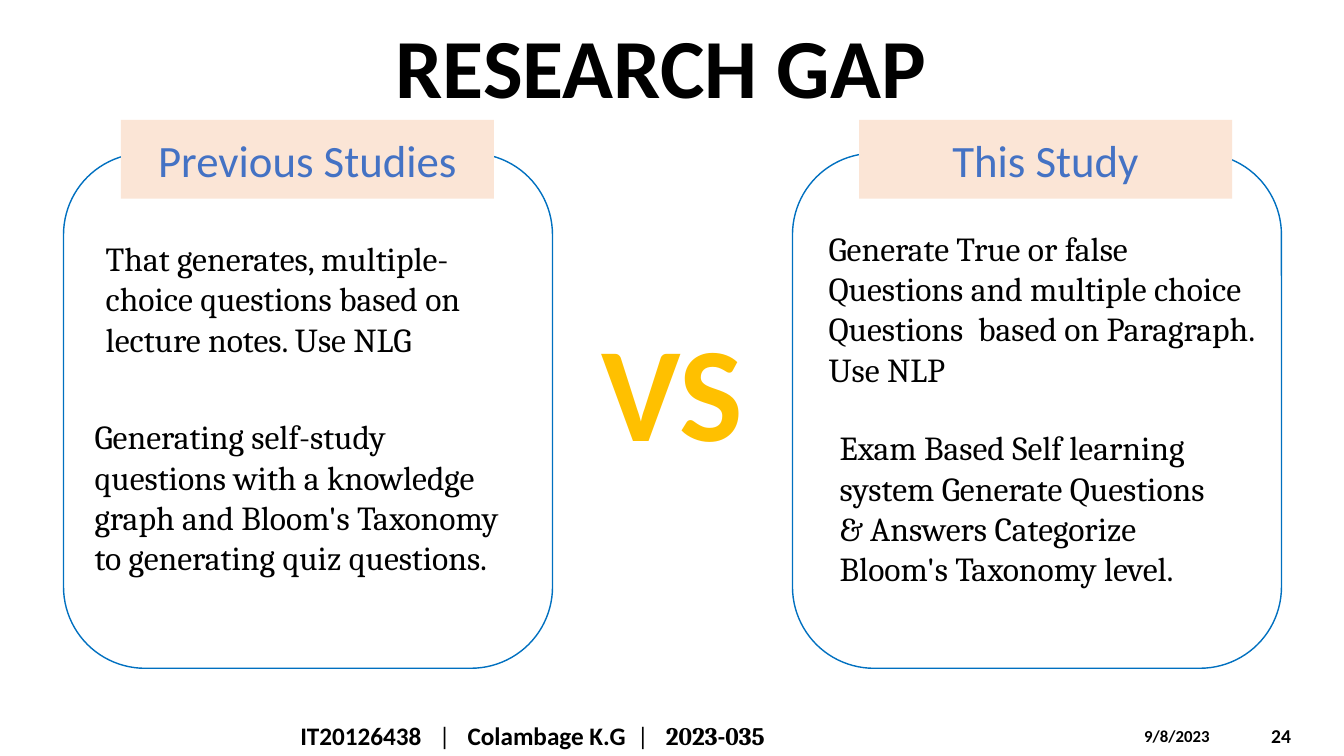
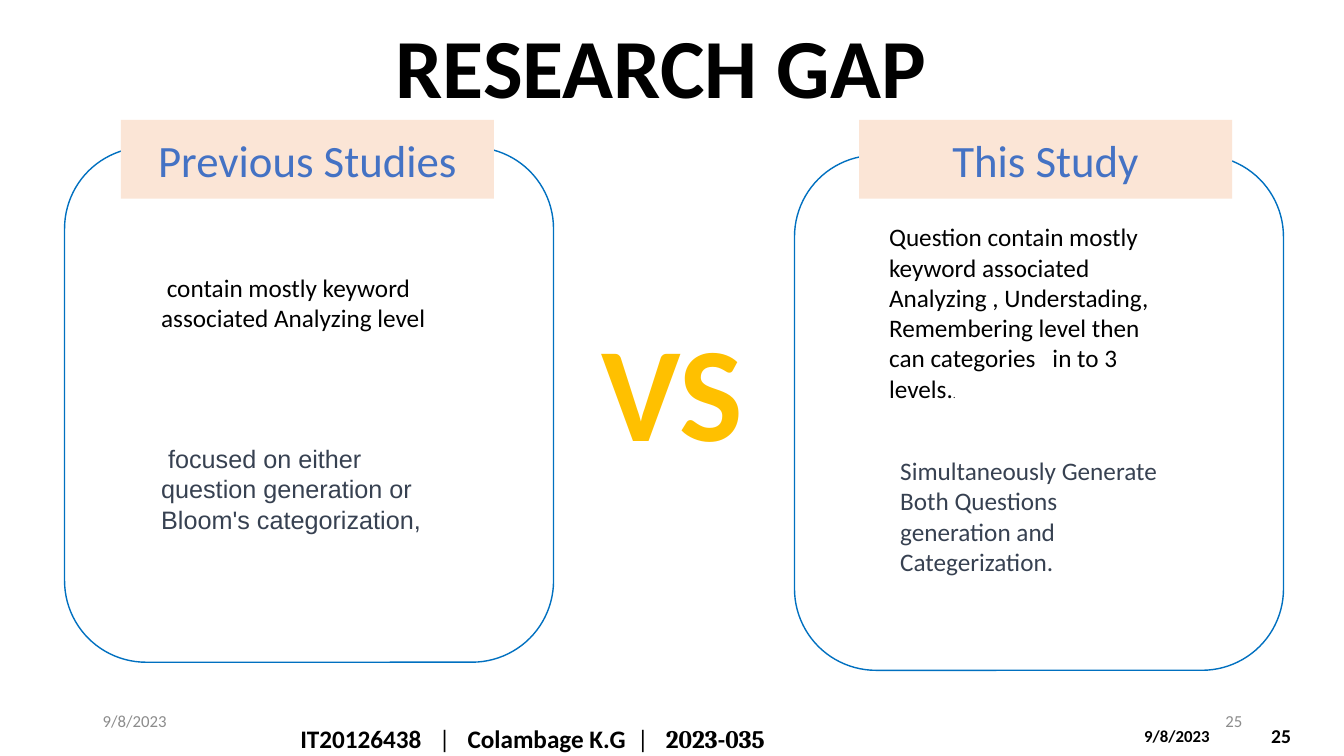
from pptx import Presentation
from pptx.dml.color import RGBColor
from pptx.enum.shapes import MSO_SHAPE
from pptx.enum.text import MSO_ANCHOR, PP_ALIGN
from pptx.util import Inches, Pt

RECT, ROUNDED = MSO_SHAPE.RECTANGLE, MSO_SHAPE.ROUNDED_RECTANGLE
TOP, MIDDLE = MSO_ANCHOR.TOP, MSO_ANCHOR.MIDDLE
LEFT, CENTER, RIGHT = PP_ALIGN.LEFT, PP_ALIGN.CENTER, PP_ALIGN.RIGHT

BLACK = RGBColor(0x00, 0x00, 0x00)
GRAY = RGBColor(0x8C, 0x8C, 0x8C)
SLATE = RGBColor(0x37, 0x41, 0x51)
OUTLINE_BLUE = RGBColor(0x00, 0x70, 0xC0)
HEADING_BLUE = RGBColor(0x44, 0x72, 0xC4)
PEACH = RGBColor(0xFB, 0xE5, 0xD6)
GOLD = RGBColor(0xFF, 0xC0, 0x00)

DATE = "9/8/2023"
# Footer runs: text and the format that differs from the default
AUTHOR = [("IT20126438  ", {"bold": True}), (" |   ", {}),
          ("Colambage K.G  ", {"bold": True}), ("|   ", {}),
          ("2023-035", {"bold": True, "font": "Cambria"})]
HEADINGS = [(1.2, "Previous Studies"), (8.52, "This Study")]

# Panels: left, top. Statements: left, top, width, height, runs, format
SLIDES = [
    {"number": "24", "author_top": 7.1, "small_footer": False,
     "panels": [(0.63, 1.52), (7.86, 1.52)],
     "format": {"size": 24, "font": "Cambria"},
     "statements": [
         (0.95, 2.31, 3.85, 1.31,
          [("That generates, multiple-choice questions based on lecture notes. Use NLG", {})], {}),
         (0.84, 4.08, 4.43, 1.72,
          [("Generating self-study questions with a knowledge graph and Bloom's Taxonomy "
            "to generating quiz questions.", {})], {}),
         (8.12, 2.21, 4.43, 1.72,
          [("Generate True or false Questions and multiple choice Questions  based on "
            "Paragraph. Use NLP", {})], {}),
         (8.23, 4.19, 4.08, 1.72,
          [("Exam Based Self learning system Generate Questions & Answers Categorize "
            "Bloom's Taxonomy level.", {})], {}),
     ]},
    {"number": "25", "author_top": 7.13, "small_footer": True,
     "panels": [(0.64, 1.46), (7.88, 1.54)],
     "format": {"size": 18},
     "statements": [
         (1.5, 2.65, 3, 0.71,
          [(" contain mostly keyword associated Analyzing level", {})], {}),
         (8.72, 2.15, 3, 1.92,
          [("Question contain mostly keyword associated Analyzing , Understading, "
            "Remembering level then can categories   in to 3 levels.", {}),
           (".", {"size": 7})], {}),
         (1.5, 4.35, 3.13, 1.01,
          [(" focused on either question generation or Bloom's categorization,", {})],
          {"font": "Arial", "color": SLATE}),
         (8.83, 4.47, 2.89, 1.31,
          [("Simultaneously Generate  Both Questions generation and Categerization.", {})],
          {"color": SLATE}),
     ]},
]


def write(shape, runs, align=LEFT, anchor=TOP, spacing=None, **base):
    """Fill a shape with one paragraph; runs is a string or (text, format) pairs."""
    frame = shape.text_frame
    frame.word_wrap = True
    frame.vertical_anchor = anchor
    paragraph = frame.paragraphs[0]
    paragraph.alignment = align
    paragraph.line_spacing = spacing
    for text, changes in [(runs, {})] if isinstance(runs, str) else runs:
        style = {"size": 18, "font": "Calibri", "color": BLACK, "bold": False} | base | changes
        run = paragraph.add_run()
        run.text = text
        run.font.name = style["font"]
        run.font.size = Pt(style["size"])
        run.font.bold = style["bold"]
        run.font.color.rgb = style["color"]


prs = Presentation()
prs.slide_width, prs.slide_height = Inches(13.33), Inches(7.5)

for content in SLIDES:
    shapes = prs.slides.add_slide(prs.slide_layouts[6]).shapes

    # Title
    title = shapes.add_textbox(Inches(0.8), Inches(0.21), Inches(11.51), Inches(1.31))
    write(title, "RESEARCH GAP", align=CENTER, spacing=0.9, size=60, bold=True)

    # Outlined panels with VS between them
    for left, top in content["panels"]:
        panel = shapes.add_shape(ROUNDED, Inches(left), Inches(top), Inches(4.85), Inches(5.11))
        panel.shadow.inherit = False
        panel.fill.background()
        panel.line.color.rgb = OUTLINE_BLUE
        panel.line.width = Pt(1)
    versus = shapes.add_textbox(Inches(5.84), Inches(3), Inches(1.66), Inches(1.72))
    write(versus, "VS", align=CENTER, size=96, bold=True, color=GOLD)

    # Panel headings
    for left, text in HEADINGS:
        heading = shapes.add_shape(RECT, Inches(left), Inches(1.19), Inches(3.7), Inches(0.78))
        heading.shadow.inherit = False
        heading.fill.solid()
        heading.fill.fore_color.rgb = PEACH
        heading.line.fill.background()
        write(heading, text, align=CENTER, anchor=MIDDLE, size=32, color=HEADING_BLUE)

    # Statements in the panels
    for left, top, width, height, runs, changes in content["statements"]:
        statement = shapes.add_textbox(Inches(left), Inches(top), Inches(width), Inches(height))
        write(statement, runs, **(content["format"] | changes))

    # Footer
    footers = [
        (11.25, 7.15, 1.17, 0.3, DATE, {"size": 12, "bold": True}),
        (12.51, 7.1, 0.74, 0.4, content["number"], {"size": 14, "bold": True, "anchor": MIDDLE}),
        (2.88, content["author_top"], 7.45, 0.4, AUTHOR, {"anchor": MIDDLE}),
    ]
    if content["small_footer"]:
        small = {"size": 12, "color": GRAY, "anchor": MIDDLE}
        footers += [(0.92, 6.95, 3, 0.4, DATE, small),
                    (9.42, 6.95, 3, 0.4, content["number"], small | {"align": RIGHT})]
    for left, top, width, height, runs, style in footers:
        footer = shapes.add_textbox(Inches(left), Inches(top), Inches(width), Inches(height))
        write(footer, runs, **style)

prs.save("out.pptx")
